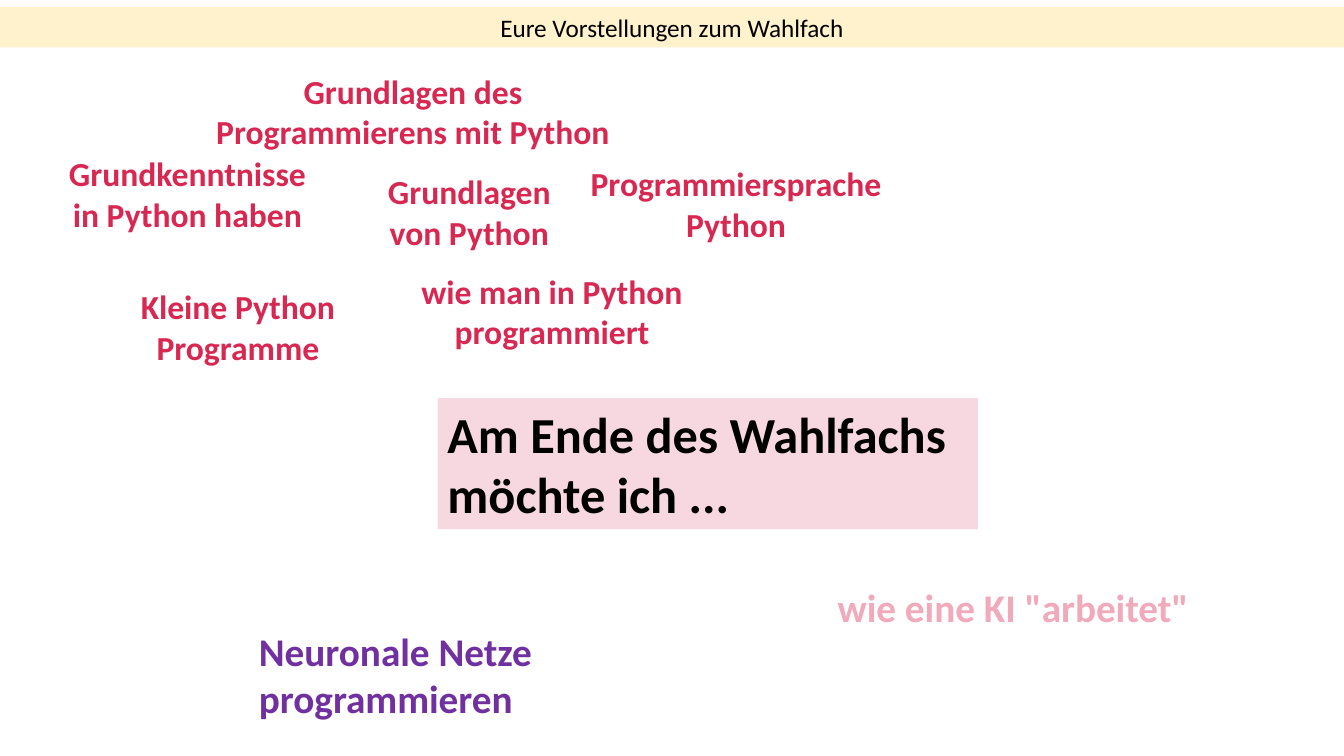
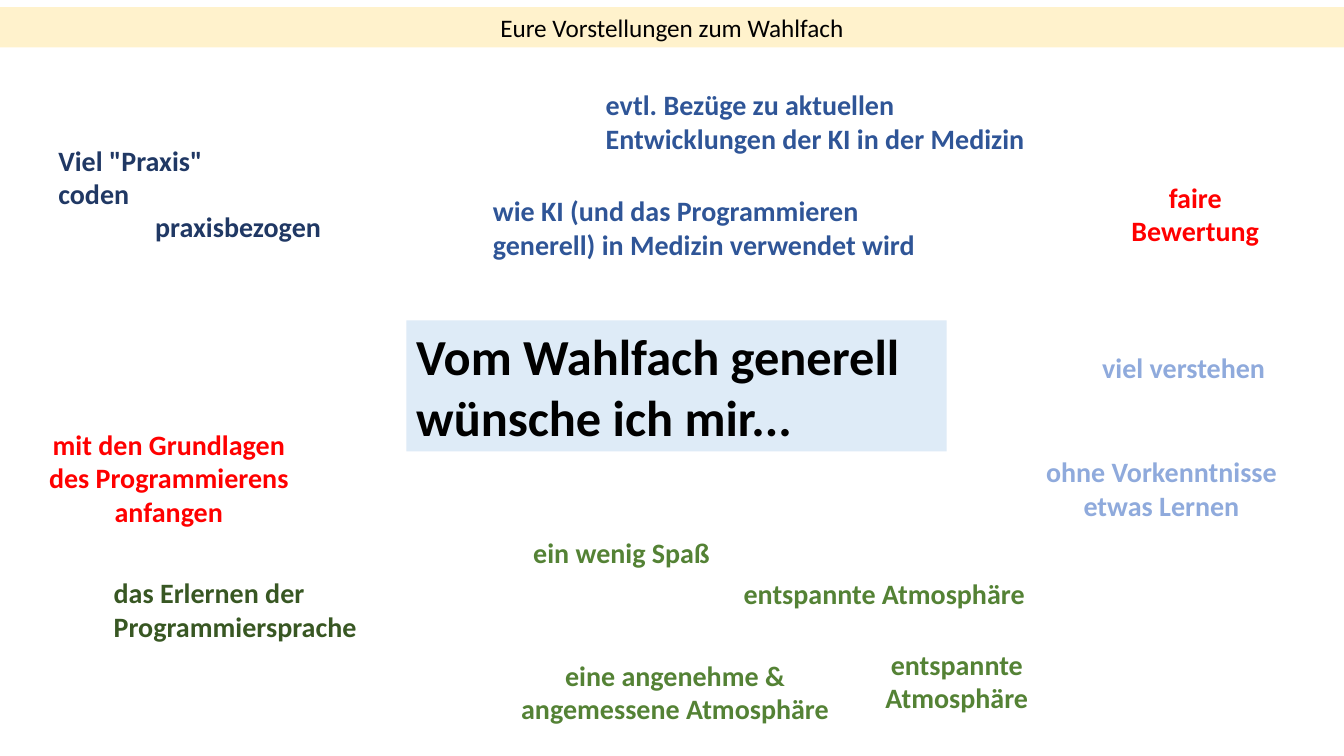
"""Build two slides that gather wishes for an elective course."""
import dataclasses
import typing

import pptx
import pptx.dml.color
import pptx.enum.shapes
import pptx.enum.text
import pptx.slide
import pptx.util

Inches = pptx.util.Inches
RGBColor = pptx.dml.color.RGBColor
Align = pptx.enum.text.PP_ALIGN

FONT = "Calibri"
SLIDE_WIDTH = 13.33
SLIDE_HEIGHT = 7.5
LINE_SPACING = 1.2
VERTICAL_INSETS = 0.1
TITLE = "Eure Vorstellungen zum Wahlfach"

BLACK = RGBColor(0x00, 0x00, 0x00)
CREAM = RGBColor(0xFF, 0xF2, 0xCC)
ROSE = RGBColor(0xF8, 0xD8, 0xE0)
PINK = RGBColor(0xF0, 0xAA, 0xBB)
CRIMSON = RGBColor(0xD8, 0x28, 0x51)
PURPLE = RGBColor(0x70, 0x30, 0xA0)
RED = RGBColor(0xFF, 0x00, 0x00)
ICE = RGBColor(0xDE, 0xEB, 0xF7)
LIGHT_BLUE = RGBColor(0x8F, 0xAA, 0xDC)
BLUE = RGBColor(0x2F, 0x55, 0x97)
NAVY = RGBColor(0x20, 0x38, 0x64)
GREEN = RGBColor(0x54, 0x82, 0x35)
DARK_GREEN = RGBColor(0x38, 0x57, 0x23)


@dataclasses.dataclass(frozen=True)
class Answer:
    text: str
    left: float
    top: float
    width: float
    color: RGBColor
    lines: int = 2
    align: Align = Align.CENTER
    size: typing.Optional[int] = None


@dataclasses.dataclass(frozen=True)
class Board:
    question: str
    left: float
    top: float
    fill: RGBColor
    answer_size: int
    answers: tuple[Answer, ...]


BOARDS = (
    Board("Am Ende des Wahlfachs möchte ich ...", 4.34, 3.95, ROSE, 24, (
        Answer("Grundkenntnisse in Python haben", 0.48, 1.47, 2.76, CRIMSON),
        Answer('wie eine KI "arbeitet"', 8.21, 5.74, 3.85, PINK, 1, Align.LEFT, 28),
        Answer("Kleine Python Programme", 1.04, 2.79, 2.64, CRIMSON),
        Answer("Neuronale Netze programmieren", 2.47, 6.17, 3.25, PURPLE, 2, Align.LEFT, 28),
        Answer("wie man in Python programmiert", 3.85, 2.64, 3.25, CRIMSON),
        Answer("Programmiersprache Python", 5.73, 1.57, 3.14, CRIMSON),
        Answer("Grundlagen des Programmierens mit Python", 2.02, 0.65, 4.15, CRIMSON),
        Answer("Grundlagen von Python", 3.58, 1.65, 2.15, CRIMSON),
    )),
    Board("Vom Wahlfach generell wünsche ich mir...", 4.03, 3.18, ICE, 20, (
        Answer('Viel "Praxis" coden', 0.48, 1.37, 2.38, NAVY, 2, Align.LEFT),
        Answer("entspannte Atmosphäre", 7.25, 5.67, 3.04, GREEN, 1),
        Answer("faire Bewertung", 11.07, 1.74, 1.57, RED),
        Answer("viel verstehen", 10.81, 3.43, 1.86, LIGHT_BLUE, 1),
        Answer("praxisbezogen", 1.44, 2.03, 1.91, NAVY, 1, Align.LEFT),
        Answer("wie KI (und das Programmieren generell) in Medizin verwendet wird",
               4.79, 1.87, 4.58, BLUE, 2, Align.LEFT),
        Answer("entspannte Atmosphäre", 8.52, 6.37, 1.94, GREEN),
        Answer("das Erlernen der Programmiersprache", 1.03, 5.66, 2.63, DARK_GREEN, 2, Align.LEFT),
        Answer("evtl. Bezüge zu aktuellen Entwicklungen der KI in der Medizin",
               5.91, 0.82, 4.46, BLUE, 2, Align.LEFT),
        Answer("ohne Vorkenntnisse etwas Lernen", 10.17, 4.46, 2.7, LIGHT_BLUE),
        Answer("mit den Grundlagen des Programmierens anfangen", 0.26, 4.19, 2.83, RED, 3),
        Answer("ein wenig Spaß", 5.19, 5.26, 2.05, GREEN, 1, Align.LEFT),
        Answer("eine angenehme & angemessene Atmosphäre", 4.82, 6.48, 3.75, GREEN),
    )),
)


def add_text(slide: pptx.slide.Slide, text: str, *, left: float, top: float, width: float,
             size: int, lines: int = 1, color: RGBColor = BLACK, bold: bool = True,
             align: Align = Align.LEFT, fill: typing.Optional[RGBColor] = None) -> None:
    height = VERTICAL_INSETS + lines * size * LINE_SPACING / 72
    place = [Inches(length) for length in (left, top, width, height)]
    if fill is None:
        shape = slide.shapes.add_textbox(*place)
    else:
        shape = slide.shapes.add_shape(pptx.enum.shapes.MSO_SHAPE.RECTANGLE, *place)
        shape.shadow.inherit = False
        shape.fill.solid()
        shape.fill.fore_color.rgb = fill
        shape.line.fill.background()
    frame = shape.text_frame
    frame.word_wrap = True
    frame.auto_size = pptx.enum.text.MSO_AUTO_SIZE.SHAPE_TO_FIT_TEXT
    frame.vertical_anchor = pptx.enum.text.MSO_ANCHOR.TOP
    paragraph = frame.paragraphs[0]
    paragraph.alignment = align
    run = paragraph.add_run()
    run.text = text
    run.font.name = FONT
    run.font.size = pptx.util.Pt(size)
    run.font.bold = bold
    run.font.color.rgb = color


def add_board(presentation: pptx.presentation.Presentation, board: Board) -> None:
    slide = presentation.slides.add_slide(presentation.slide_layouts[6])
    add_text(slide, TITLE, left=0, top=0.07, width=SLIDE_WIDTH, size=18,
             bold=False, align=Align.CENTER, fill=CREAM)
    for answer in board.answers:
        add_text(slide, answer.text, left=answer.left, top=answer.top, width=answer.width,
                 size=answer.size or board.answer_size, lines=answer.lines,
                 color=answer.color, align=answer.align)
    add_text(slide, board.question, left=board.left, top=board.top, width=5.36,
             size=36, lines=2, fill=board.fill)


def main() -> None:
    presentation = pptx.Presentation()
    presentation.slide_width = Inches(SLIDE_WIDTH)
    presentation.slide_height = Inches(SLIDE_HEIGHT)
    for board in BOARDS:
        add_board(presentation, board)
    presentation.save("out.pptx")


main()
